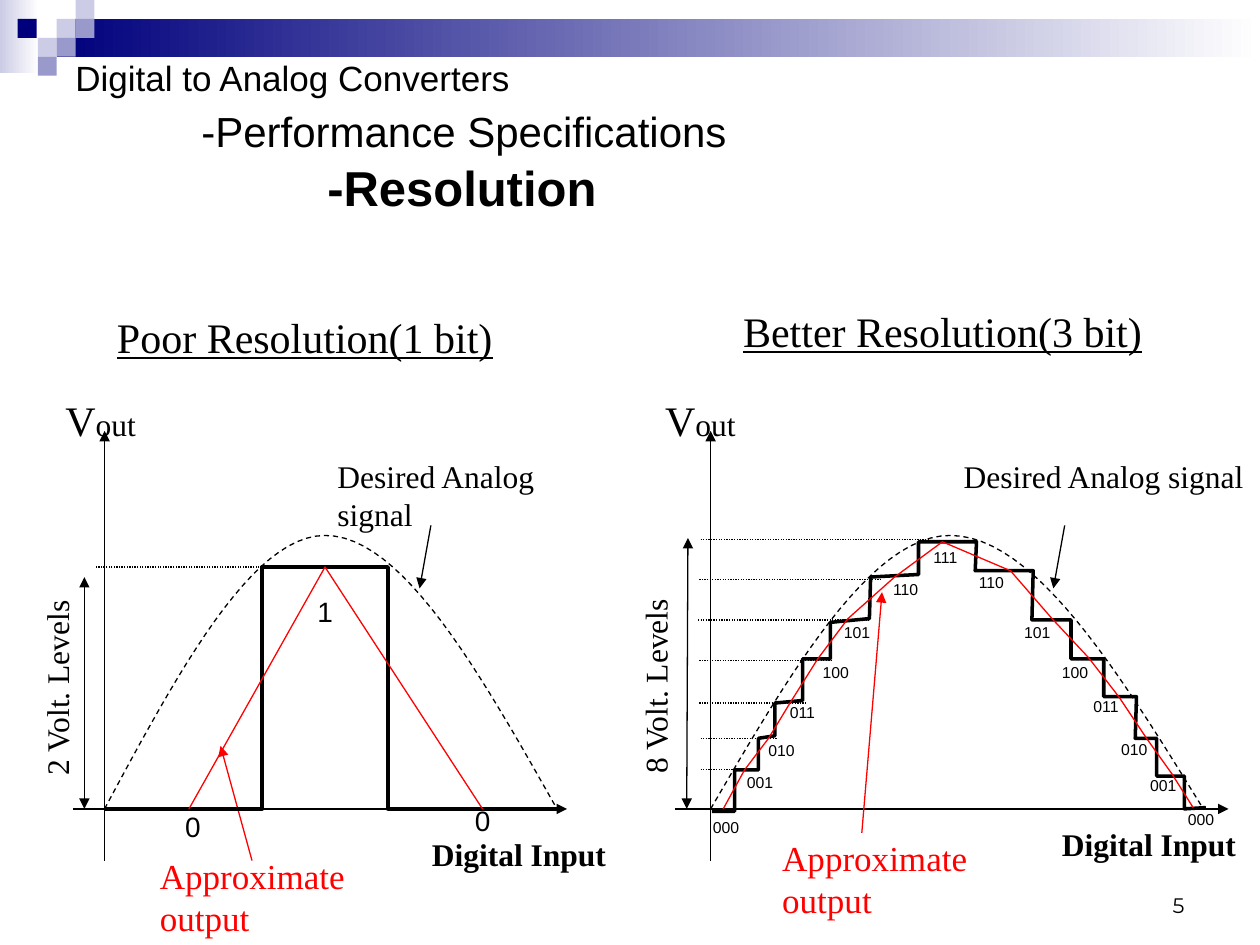
from lxml.etree import SubElement as Sub
from pptx import Presentation as Deck
from pptx.dml.color import RGBColor as Rgb
from pptx.enum.dml import MSO_LINE_DASH_STYLE as Dash
from pptx.enum.shapes import MSO_CONNECTOR as Link, MSO_SHAPE as Form
from pptx.enum.text import MSO_ANCHOR as Anchor, PP_ALIGN as Align
from pptx.oxml.ns import qn
from pptx.util import Inches, Pt

BLACK = Rgb(0x00, 0x00, 0x00)
WHITE = Rgb(0xFF, 0xFF, 0xFF)
RED = Rgb(0xFF, 0x00, 0x00)
NAVY = Rgb(0x00, 0x00, 0x7D)
LILAC = Rgb(0xCC, 0xCC, 0xE6)
MAUVE = Rgb(0x99, 0x99, 0xCC)
SERIF, SANS = "Times New Roman", "Arial"
COLS, ROWS = 100, 75
BASE, PEAK = 64.2, 42.5


def write(para, text, size=18, font=SERIF, color=BLACK, bold=False, under=False):
    """Add one formatted run to a paragraph."""
    run = para.add_run()
    run.text = text
    run.font.size, run.font.name = Pt(size), font
    run.font.bold, run.font.underline = bold, under
    run.font.color.rgb = color


class Board:
    """Draws on a slide in columns and rows of a fixed grid."""

    def __init__(self, deck):
        """Open a blank slide."""
        self.slide = deck.slides.add_slide(deck.slide_layouts[6])
        self.wide, self.high = deck.slide_width / COLS, deck.slide_height / ROWS
        self.pen = self.slide.shapes

    def group(self):
        """Send the next elements to a new group."""
        self.pen = self.slide.shapes.add_group_shape().shapes

    def top(self):
        """Send the next elements straight to the slide."""
        self.pen = self.slide.shapes

    def place(self, *grid):
        """Turn column and row pairs into lengths."""
        return [round(n * (self.high if i % 2 else self.wide)) for i, n in enumerate(grid)]

    def block(self, box, color, fade=None):
        """Add a rectangle, plain or fading to a second colour."""
        rect = self.pen.add_shape(Form.RECTANGLE, *self.place(*box))
        rect.shadow.inherit = False
        rect.line.fill.background()
        if fade is None:
            rect.fill.solid()
            rect.fill.fore_color.rgb = color
        else:
            rect.fill.gradient()
            rect.fill.gradient_angle = 0
            for stop, tone in zip(rect.fill.gradient_stops, (color, fade)):
                stop.color.rgb = tone

    def frame(self, box, anchor=Anchor.TOP, turn=0):
        """Add a text box and return its first paragraph."""
        area = self.pen.add_textbox(*self.place(*box))
        area.rotation = turn
        area.text_frame.word_wrap = True
        area.text_frame.vertical_anchor = anchor
        return area.text_frame.paragraphs[0]

    def label(self, box, text, turn=0, **style):
        """Add a text box with one run."""
        para = self.frame(box, turn=turn)
        write(para, text, **style)
        return para

    def ink(self, line, color, width, dash):
        """Style an outline."""
        line.color.rgb, line.width = color, Pt(width)
        if dash:
            line.dash_style = dash

    def line(self, start, end, color=BLACK, dash=None, tips=()):
        """Add a straight line with arrowheads at the named ends."""
        link = self.pen.add_connector(Link.STRAIGHT, *self.place(*start, *end))
        self.ink(link.line, color, 0.75, dash)
        for tip in tips:
            Sub(link.line._get_or_add_ln(), qn(f"a:{tip}End"), type="triangle")
        Sub(link._element.spPr, qn("a:effectLst"))

    def trace(self, dots, color=BLACK, width=0.75, dash=None):
        """Add an open outline through grid points."""
        first, *rest = [self.place(*dot) for dot in dots]
        build = self.pen.build_freeform(*first)
        build.add_line_segments(rest, close=False)
        shape = build.convert_to_shape()
        shape.shadow.inherit = False
        shape.fill.background()
        self.ink(shape.line, color, width, dash)


def arch(left, mid, right, steps=24):
    """Return the points of the smooth signal."""
    dots = []
    for i in range(-steps, steps + 1):
        t = 1 - abs(i) / steps
        side = left if i < 0 else right
        dots.append((side + (mid - side) * t, BASE - (BASE - PEAK) * (1.5 * t - 0.5 * t ** 3)))
    return dots


def plot(board, bits, ends, curve, vout, want, aim, near, hint, span, side, foot, dots, steps, guess):
    """Draw one resolution chart."""
    board.group()
    axis = curve[0]
    board.line((axis, 68.3), (axis, 34.2), tips=["tail"])
    board.line((ends[0], BASE), (ends[1], BASE), tips=["tail"])
    write(board.label(vout, "V", size=24), "out")
    board.trace(arch(*curve), dash=Dash.DASH)
    board.label(want, "Desired Analog signal")
    board.line((aim, 41.7), (aim - 0.9, 46.7), tips=["tail"])
    board.label(near, "Approximate output", size=20, color=RED)
    board.line(*hint, color=RED, tips=["tail"])
    board.line(*span, tips=["head", "tail"])
    board.label(side, f"{2 ** bits} Volt. Levels", turn=270)
    board.label(foot, "Digital Input", bold=True)
    for start, end, row in dots:
        board.line((start, row), (end, row), dash=Dash.ROUND_DOT)
    board.trace(steps, width=2)
    board.trace(guess, color=RED)


def banner(board):
    """Draw the band and the tiles at the top."""
    board.group()
    board.block((0, 0, 3.1, 5.8), LILAC, WHITE)
    board.block((4.5, 1.5, 95.5, 3), NAVY, WHITE)
    tiles = [(4.5, 1.5, LILAC), (6, 0, LILAC), (6, 1.5, MAUVE), (3, 3, LILAC),
             (1.4, 1.5, NAVY), (4.5, 3, MAUVE), (3, 4.5, MAUVE)]
    for col, row, color in tiles:
        board.block((col, row, 1.5, 1.5), color)


def heads(board):
    """Write the title, the page number and the chart names."""
    board.top()
    page = board.label((71.7, 68.3, 23.3, 5), "5", size=12, font="Montserrat")
    page.alignment = Align.RIGHT
    board.pen[-1].text_frame.vertical_anchor = Anchor.BOTTOM
    title = board.frame((5, 4.2, 90, 13.3), Anchor.MIDDLE)
    tabs = Sub(title._p.get_or_add_pPr(), qn("a:tabLst"))
    for inch in (1, 2):
        Sub(tabs, qn("a:tab"), pos=str(Inches(inch)), algn="l")
    write(title, "Digital to Analog Converters", size=20, font=SANS)
    title.add_line_break()
    write(title, "\t", size=28, font=SANS)
    write(title, "-Performance Specifications", size=24, font=SANS)
    title.add_line_break()
    write(title, "\t\t", size=24, font=SANS)
    write(title, "-Resolution", size=28, font=SANS, bold=True)
    better = board.label((58, 24.2, 42, 7.4), "Better Resolution(3 bit)", size=24, under=True)
    better.line_spacing = 0.9
    board.label((8.3, 24.2, 35.8, 5), "Poor Resolution(1 bit)", size=24, under=True)


def poor(board):
    """Draw the one bit chart."""
    plot(board, 1, ends=(5.8, 45), curve=(8.3, 25.8, 44.2), vout=(4.2, 30.8, 8.3, 5),
         want=(25.8, 35.8, 22.5, 7), aim=34.2, near=(11.7, 67.3, 20.8, 7.7),
         hint=((20, 68.3), (17.5, 59.2)), span=((6.7, 45.8), (6.7, BASE)),
         side=(-8, 48, 25, 4), foot=(33.3, 65.8, 16.7, 4), dots=[(20.8, 7.5, 45)],
         steps=[(8.3, BASE), (20.8, BASE), (20.8, 45), (30.8, 45), (30.8, BASE), (44.2, BASE)],
         guess=[(15, BASE), (25.8, 45), (38.3, BASE)])
    for col, row, text in [(13.7, 63.8, "0"), (36.7, 63.3, "0"), (24.2, 46.7, "1")]:
        board.label((col, row, 7.5, 3.7), text, size=16, font=SANS)


def better(board):
    """Draw the three bit chart."""
    plot(board, 3, ends=(53.6, 97.5), curve=(56.4, 75.4, 95.5), vout=(51.8, 30.8, 9.1, 5),
         want=(75.5, 35.8, 24.5, 4), aim=84.5, near=(61.1, 65.9, 22.7, 7.7),
         hint=((68.4, 66.1), (70, 47)), span=((54.6, 42.7), (54.5, BASE)),
         side=(39.5, 47.9, 25, 4), foot=(83.3, 65, 18.3, 4),
         dots=[(55.6, 60.3, 61.1), (55.6, 61.7, 58.6), (55.5, 64, 55.8), (55.5, 66, 52.4),
               (55.4, 69, 49.2), (55.5, 70, 46), (55.6, 73.8, 42.8)],
         steps=[(56.5, 64.4), (58.3, 64.4), (58.3, 61.1), (60.2, 61.1), (60.2, 58.6),
                (61.5, 58.4), (61.5, 55.8), (63.7, 55.6), (63.7, 52.3), (65.9, 52.3),
                (65.9, 49.4), (69, 49.1), (69.1, 45.8), (72.9, 45.6), (72.9, 43), (77.5, 43),
                (77.4, 45.3), (82, 45.3), (81.9, 49.2), (85, 49.2), (85, 52.3), (87.6, 52.3),
                (87.6, 55.3), (90.2, 55.3), (90.1, 58.6), (91.8, 58.6), (91.8, 61.6),
                (94, 61.6), (94, 64.2), (95.7, 64.1)],
         guess=[(57.4, 64.2), (59.1, 61.1), (61, 58.6), (62.7, 55.8), (64.9, 52.3),
                (67.3, 49.1), (71, 45.8), (74.8, 43), (80.2, 45.3), (83.5, 49.1),
                (86.4, 52.2), (88.8, 55.3), (91, 58.6), (93, 61.4), (94.7, 64.1)])
    spots = [(55.6, 64.4), (58.3, 60.8), (60, 58.3), (61.7, 55.3), (64.3, 52.1),
             (66, 48.9), (69.9, 45.5), (73.1, 43), (76.7, 45), (80.3, 48.9),
             (83.3, 52.1), (85.8, 54.8), (88, 58.2), (90.3, 61.1), (93.3, 63.8)]
    for i, (col, row) in enumerate(spots):
        code = min(i, len(spots) - 1 - i)
        board.label((col, row, 4.4, 2.5), f"{code:03b}", size=9, font=SANS)


def main():
    """Build and save the slide."""
    deck = Deck()
    deck.slide_width, deck.slide_height = Inches(10), Inches(7.5)
    board = Board(deck)
    for part in (banner, heads, poor, better):
        part(board)
    deck.save("out.pptx")


if __name__ == "__main__":
    main()
